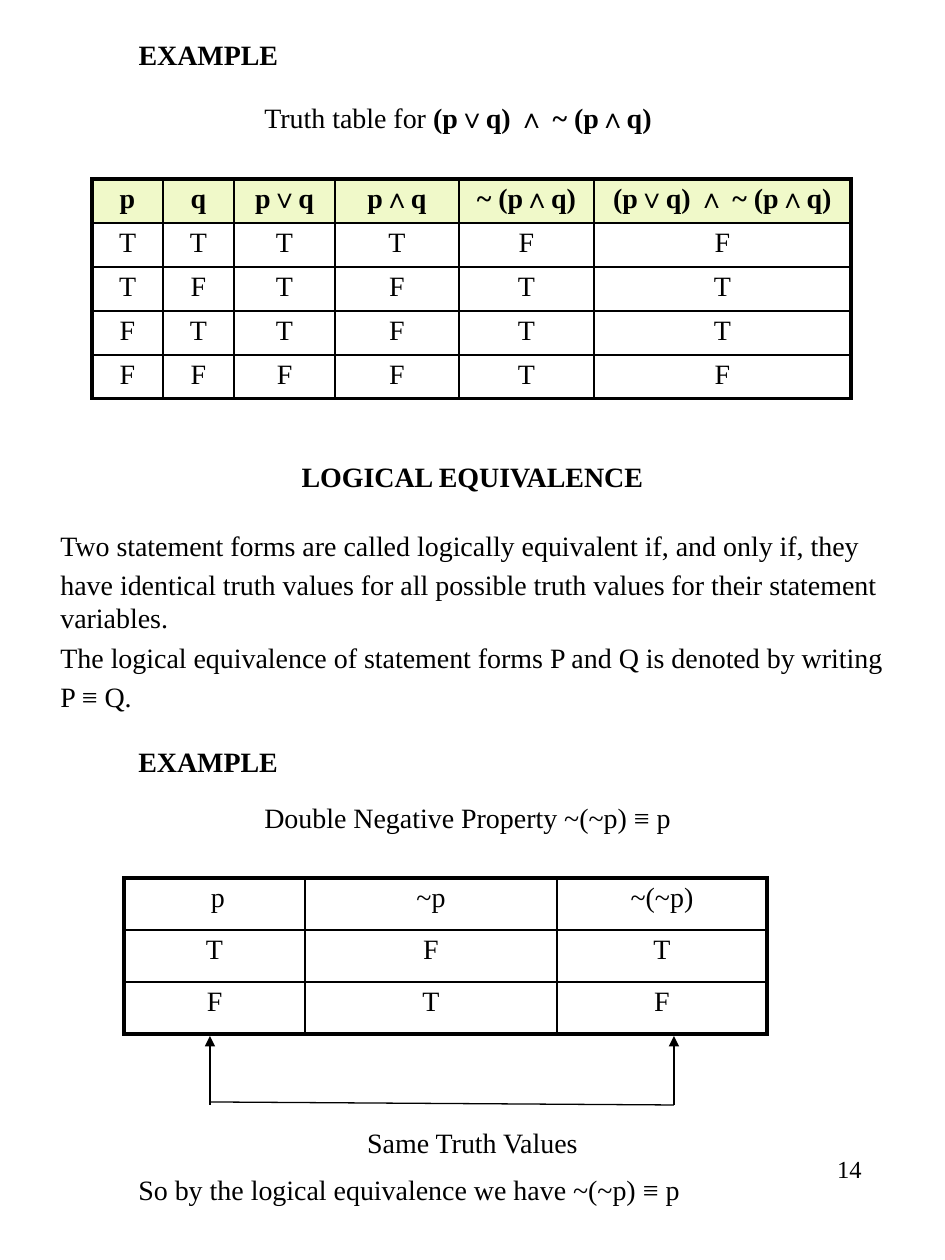
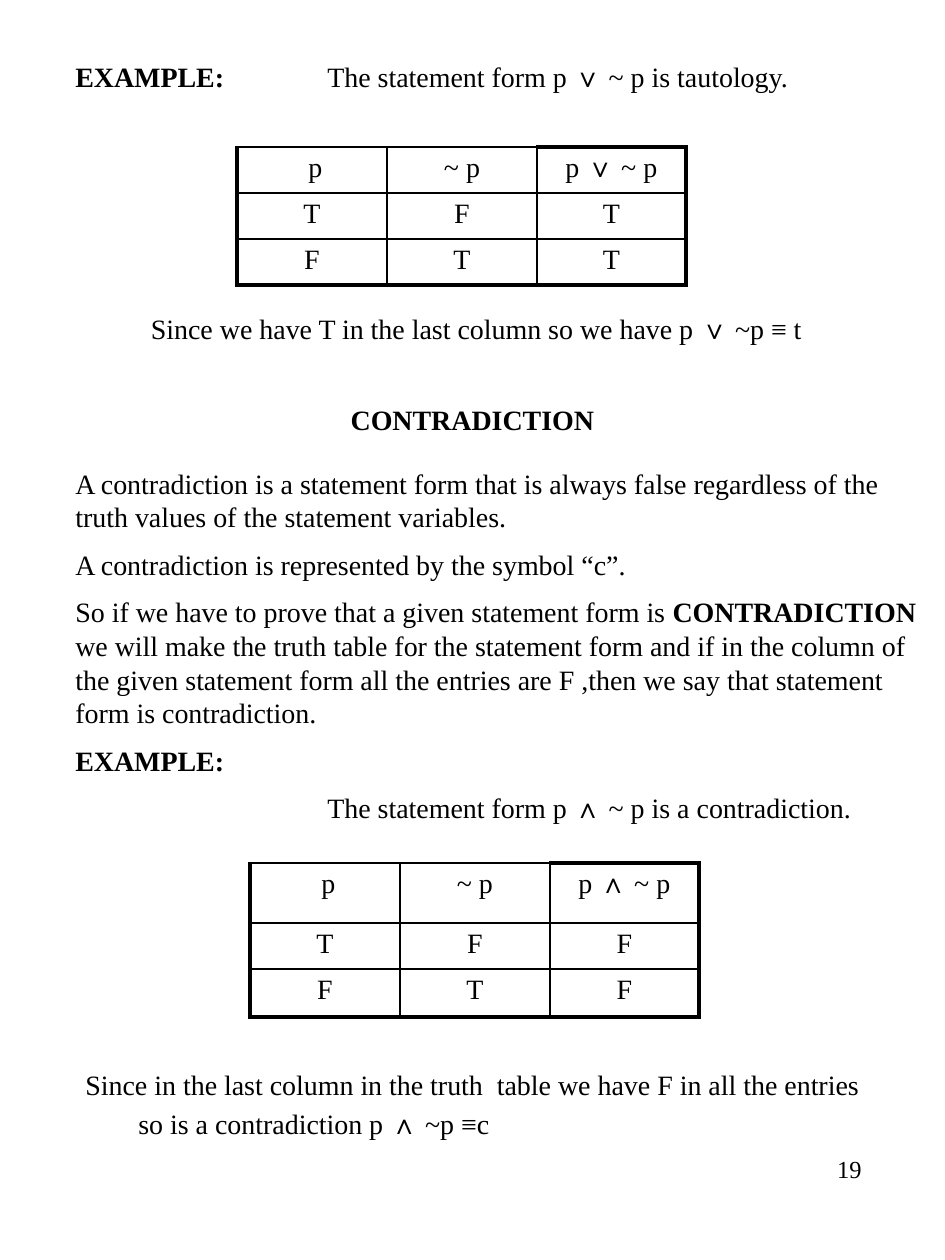
import pptx
import pptx.dml.color
import pptx.enum.shapes
import pptx.enum.text
import pptx.oxml.ns
import pptx.util
from lxml import etree

PX = 914400 / 126
WIDTH, HEIGHT = 945, 1260
FONT, TEXT_SIZE, NUMBER_SIZE = "Times New Roman", 16, 14
BLACK, HEADER_GREEN = "000000", "F0F9C9"
THICK, THIN, ARROW_LINE = 2.25, 1, 0.75
TAB, HANGING, INDENT = 126, 48, 63
TIGHT, LOOSE = 3.2, 8

LEFT = pptx.enum.text.PP_ALIGN.LEFT
CENTER = pptx.enum.text.PP_ALIGN.CENTER
RIGHT = pptx.enum.text.PP_ALIGN.RIGHT
TOP = pptx.enum.text.MSO_ANCHOR.TOP
MIDDLE = pptx.enum.text.MSO_ANCHOR.MIDDLE

PLAIN = dict(space=LOOSE)
HEADING = dict(bold=True)
CENTERED_HEADING = dict(bold=True, align=CENTER)
CENTERED = dict(align=CENTER, space=TIGHT)
CENTERED_LOOSE = dict(align=CENTER, space=LOOSE)
HUNG = dict(margin=HANGING, indent=-HANGING, space=TIGHT)
INDENTED = dict(margin=INDENT, space=LOOSE)

PAGES = [
    dict(
        number="14",
        title=((0, 21, WIDTH, 67), HEADING, "\tEXAMPLE"),
        texts=[
            ((0, 94, WIDTH, 47), TOP, [
                (PLAIN, [("\t\tTruth table for ", False), ("(p∨q) ∧ ~ (p∧q)", True)])]),
            ((0, 449, WIDTH, 55), MIDDLE, [
                (CENTERED_HEADING, "LOGICAL EQUIVALENCE")]),
            ((0, 522, WIDTH, 203), TOP, [
                (HUNG, "\tTwo statement forms are called logically equivalent if, and only if, they"),
                (HUNG, "\thave identical truth values for all possible truth values for their "
                       "statement variables."),
                (HUNG, "\tThe logical equivalence of statement forms P and Q is denoted by writing"),
                (HUNG, "\tP ≡ Q.")]),
            ((0, 735, WIDTH, 53), MIDDLE, [(HEADING, "\tEXAMPLE")]),
            ((0, 794, WIDTH, 47), TOP, [
                (PLAIN, "\t\tDouble Negative Property ~(~p) ≡ p")]),
            ((0, 1119, WIDTH, 97), TOP, [
                (CENTERED_LOOSE, "Same Truth Values"),
                (PLAIN, "\tSo by the logical equivalence we have ~(~p) ≡ p")]),
        ],
        tables=[
            dict(at=(92, 179), columns=[71, 71, 101, 124, 135, 257], rows=[44] * 5,
                 inset=5, header=True, thin_top=0,
                 cells=[["p", "q", "p∨q", "p∧q", "~ (p∧q)", "(p∨q) ∧ ~ (p∧q)"],
                        "TTTTFF", "TFTFTT", "FTTFTT", "FFFFTF"]),
            dict(at=(124, 878), columns=[181, 252, 210], rows=[52] * 3,
                 inset=5, header=False, thin_top=0,
                 cells=[[" p", "~p", "~(~p)"], "TFT", "FTF"]),
        ],
        lines=[((674, 1105), (674, 1036), True),
               ((674, 1105), (210, 1102), False),
               ((210, 1105), (210, 1036), True)],
    ),
    dict(
        number="19",
        title=((0, 386, WIDTH, 67), CENTERED_HEADING, "CONTRADICTION"),
        texts=[
            ((0, 53, WIDTH, 47), TOP, [
                (INDENTED, [("EXAMPLE:", True),
                            ("\tThe statement form p ∨ ~ p is tautology.", False)])]),
            ((4, 305, WIDTH, 47), TOP, [
                (CENTERED, "Since we have T in the last column so we have p ∨ ~p ≡ t")]),
            ((0, 460, WIDTH, 383), TOP, [
                (INDENTED, "A contradiction is a statement form that is always false regardless "
                           "of the truth values of the statement variables."),
                (INDENTED, "A contradiction is represented by the symbol “c”."),
                (INDENTED, [
                    ("So if we have to prove that a given statement form is ", False),
                    ("CONTRADICTION", True),
                    (" we will make the truth table for the statement form and if in the column "
                     "of the given statement form all the entries are F ,then we say that "
                     "statement form is contradiction.", False)]),
                (INDENTED, [("EXAMPLE:\t", True)]),
                (INDENTED, "\t\tThe statement form p ∧ ~ p is a contradiction.")]),
            ((0, 1061, WIDTH, 87), TOP, [
                (CENTERED, "Since in the last column in the truth  table we have F in all the entries"),
                (dict(space=TIGHT), "\tso is a contradiction p ∧ ~p ≡c")]),
        ],
        tables=[
            dict(at=(237, 147), columns=[150, 150, 149], rows=[46] * 3,
                 inset=6, header=False, thin_top=2,
                 cells=[[" p", "~ p", "p ∨ ~ p"], "TFT", "FTT"]),
            dict(at=(250, 863), columns=[150, 150, 149], rows=[60, 46, 48],
                 inset=6, header=False, thin_top=2,
                 cells=[[" p", "~ p", "p ∧ ~ p"], "TFF", "FTF"]),
        ],
        lines=[],
    ),
]


def emu(pixels):
    return pptx.util.Emu(round(pixels * PX))


def color(value):
    return pptx.dml.color.RGBColor.from_string(value)


def write(para, content, bold=False, align=LEFT, space=0, margin=0, indent=0, size=TEXT_SIZE):
    para.alignment = align
    para.space_before = pptx.util.Pt(space)
    properties = para._p.get_or_add_pPr()
    for name, pixels in (("marL", margin), ("indent", indent), ("defTabSz", TAB)):
        properties.set(name, str(emu(pixels)))
    spans = [(content, bold)] if isinstance(content, str) else content
    for text, heavy in spans:
        span = para.add_run()
        span.text = text
        span.font.name = FONT
        span.font.size = pptx.util.Pt(size)
        span.font.bold = heavy
        span.font.color.rgb = color(BLACK)


def fill_box(box, anchor, paragraphs):
    frame = box.text_frame
    frame.word_wrap = True
    frame.auto_size = pptx.enum.text.MSO_AUTO_SIZE.NONE
    frame.vertical_anchor = anchor
    for index, (style, content) in enumerate(paragraphs):
        para = frame.add_paragraph() if index else frame.paragraphs[0]
        write(para, content, **style)


def add_text(page, at, anchor, paragraphs):
    fill_box(page.shapes.add_textbox(*map(emu, at)), anchor, paragraphs)


def set_title(page, at, style, content):
    box = page.shapes.title
    box.left, box.top, box.width, box.height = map(emu, at)
    fill_box(box, MIDDLE, [(style, content)])


def set_borders(cell, widths):
    properties = cell._tc.get_or_add_tcPr()
    for index, (side, points) in enumerate(widths.items()):
        line = etree.Element(pptx.oxml.ns.qn("a:ln" + side), w=str(pptx.util.Pt(points)))
        solid = etree.SubElement(line, pptx.oxml.ns.qn("a:solidFill"))
        etree.SubElement(solid, pptx.oxml.ns.qn("a:srgbClr"), val=BLACK)
        properties.insert(index, line)


def add_truth_table(page, at, columns, rows, inset, header, thin_top, cells):
    size = (sum(columns), sum(rows))
    table = page.shapes.add_table(len(rows), len(columns), *map(emu, at + size)).table
    table.first_row = table.horz_banding = False
    for column, width in zip(table.columns, columns):
        column.width = emu(width)
    for row, height in zip(table.rows, rows):
        row.height = emu(height)
    for r, values in enumerate(cells):
        for c, value in enumerate(values):
            cell = table.cell(r, c)
            cell.margin_top = cell.margin_bottom = emu(inset)
            shaded = header and r == 0
            if shaded:
                cell.fill.solid()
                cell.fill.fore_color.rgb = color(HEADER_GREEN)
            else:
                cell.fill.background()
            write(cell.text_frame.paragraphs[0], value, bold=shaded, align=CENTER, space=TIGHT)
            outer = dict(L=c == 0, R=c == len(columns) - 1,
                         T=r == 0 and c >= thin_top, B=r == len(rows) - 1)
            set_borders(cell, {side: THICK if edge else THIN for side, edge in outer.items()})


def add_line(page, start, end, arrow):
    line = page.shapes.add_connector(
        pptx.enum.shapes.MSO_CONNECTOR.STRAIGHT, *map(emu, start + end))
    line.line.color.rgb = color(BLACK)
    line.line.width = pptx.util.Pt(ARROW_LINE)
    if arrow:
        etree.SubElement(line.line._get_or_add_ln(), pptx.oxml.ns.qn("a:tailEnd"), type="triangle")
    etree.SubElement(line._element.spPr, pptx.oxml.ns.qn("a:effectLst"))


def build_page(deck, content):
    page = deck.slides.add_slide(deck.slide_layouts[5])
    set_title(page, *content["title"])
    number_style = dict(align=RIGHT, size=NUMBER_SIZE)
    add_text(page, (678, 1148, 196, 84), TOP, [(number_style, content["number"])])
    for table in content["tables"]:
        add_truth_table(page, **table)
    for line in content["lines"]:
        add_line(page, *line)
    for text in content["texts"]:
        add_text(page, *text)


def main():
    deck = pptx.Presentation()
    deck.slide_width, deck.slide_height = emu(WIDTH), emu(HEIGHT)
    for content in PAGES:
        build_page(deck, content)
    deck.save("out.pptx")


if __name__ == "__main__":
    main()
